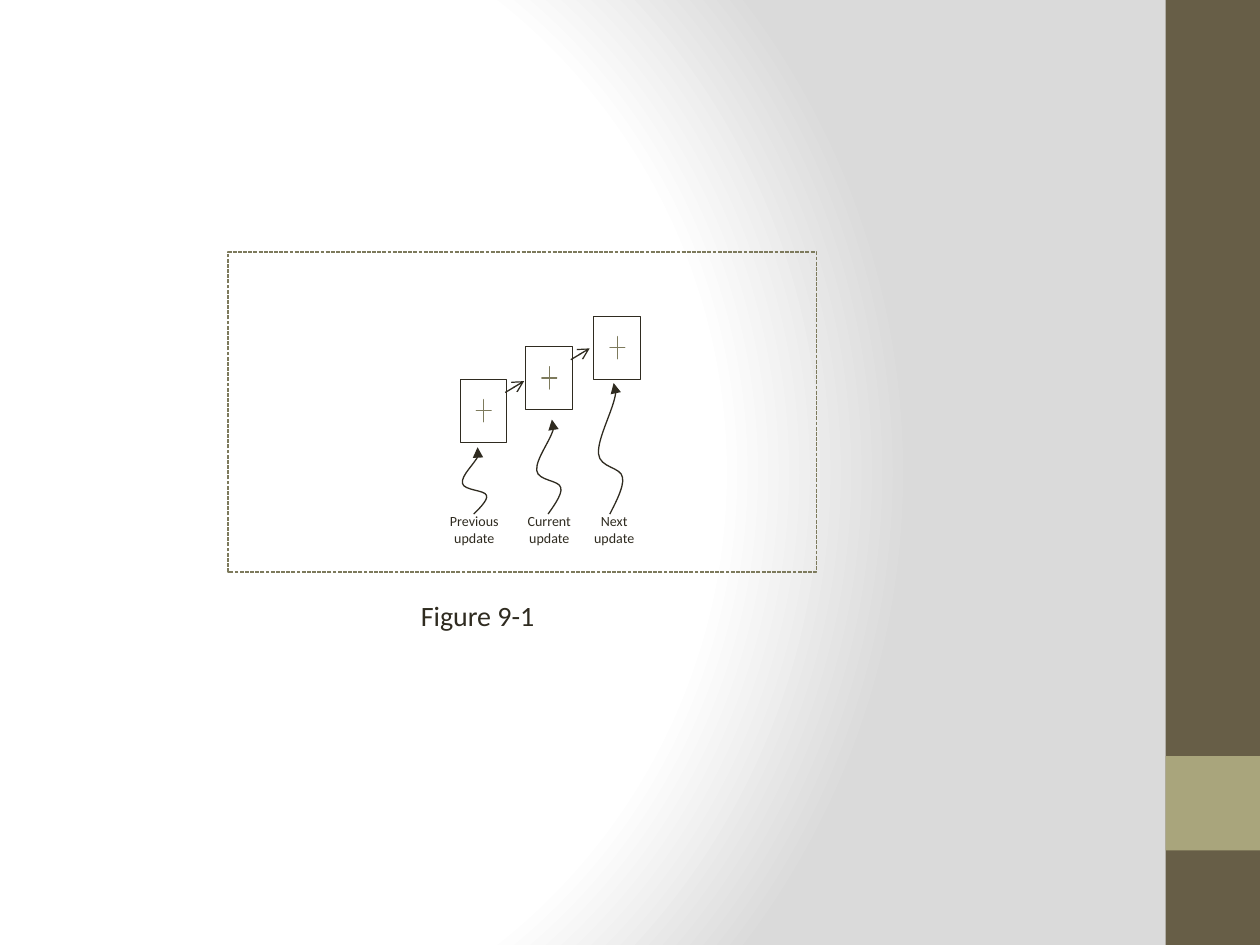
from dataclasses import dataclass

from lxml.etree import SubElement
from pptx import Presentation
from pptx.dml.color import RGBColor as Color
from pptx.enum.dml import MSO_LINE as Dash
from pptx.enum.shapes import MSO_CONNECTOR as Link, MSO_SHAPE as Shape
from pptx.enum.text import PP_ALIGN as Align
from pptx.oxml import parse_xml
from pptx.oxml.ns import nsdecls, qn
from pptx.util import Inches, Pt

COLUMNS, ROWS = 100, 75


@dataclass(frozen=True)
class Theme:
    ink: str = "2F2B20"
    bar: str = "675E47"
    accent: str = "A9A57C"
    edge: str = "7D7A5C"
    light: str = "FFFFFF"
    shade: str = "DADADA"
    font: str = "Calibri"
    label: int = 8
    caption: int = 16
    hairline: float = 0.25
    stroke: float = 0.75


@dataclass(frozen=True)
class Box:
    left: float
    top: float
    width: float
    height: float

    def inner(self, left, top, width, height):
        return Box(self.left + left, self.top + top, width, height)

    def point(self, column, row):
        return grid(self.left + column), grid(self.top + row)

    def place(self):
        return [grid(side) for side in (self.left, self.top, self.width, self.height)]


@dataclass(frozen=True)
class Step:
    word: str
    tile: tuple
    wave: tuple
    label: tuple


THEME = Theme()
STEPS = [
    Step("Previous", (18.4, 10.1), (18.6, 15.5), (17.5, 4.1)),
    Step("Current", (23.6, 7.5), (24.5, 13.3), (23.7, 3.6)),
    Step("Next", (29, 5.1), (29.4, 10.4), (28.9, 3.5)),
]
WAVE_START = (1.2, 0)
WAVE_CURVES = [
    [(2, 0.06), (-0.1, 0.42), (0, 0.54)],
    [(0.1, 0.65), (1.8, 0.64), (1.9, 0.72)],
    [(2.1, 0.79), (1.1, 0.96), (0.9, 1)],
]
WAVE_FOOT = 20.8


def grid(count):
    return Inches(count * 10 / COLUMNS)


def set_line(line, color, width):
    line.color.rgb = Color.from_string(color)
    line.width = Pt(width)


def add_block(shapes, kind, box, fill=None, line=None, width=0):
    block = shapes.add_shape(kind, *box.place())
    block.shadow.inherit = False
    if fill:
        block.fill.solid()
        block.fill.fore_color.rgb = Color.from_string(fill)
    else:
        block.fill.background()
    if line:
        set_line(block.line, line, width)
    else:
        block.line.fill.background()
    return block


def add_text(page, box, lines, size, align):
    frame = page.shapes.add_textbox(*box.place()).text_frame
    frame.word_wrap = True
    frame.margin_left = frame.margin_right = 0
    frame.text = "\n".join(lines)
    for para in frame.paragraphs:
        para.alignment = align
        para.font.name = THEME.font
        para.font.size = Pt(size)
        para.font.color.rgb = Color.from_string(THEME.ink)


def add_tile(page, box):
    group = page.shapes.add_group_shape()
    add_block(group.shapes, Shape.RECTANGLE, box, line=THEME.ink, width=THEME.hairline)
    plus = add_block(group.shapes, Shape.MATH_PLUS, box.inner(1.1, 1.3, 1.6, 2.4),
                     THEME.accent, THEME.edge)
    plus.adjustments[0] = 0


def add_arrow(page, start, end):
    arrow = page.shapes.add_connector(Link.STRAIGHT, *start, *end)
    set_line(arrow.line, THEME.ink, THEME.stroke)
    SubElement(arrow.line._get_or_add_ln(), qn("a:tailEnd"), type="arrow")
    SubElement(arrow.element.spPr, qn("a:effectLst"))


def add_wave(page, box):
    def local(point):
        return grid(point[0]), grid(point[1] * box.height)

    builder = page.shapes.build_freeform(*local(WAVE_START))
    builder.add_line_segments([local(curve[-1]) for curve in WAVE_CURVES], close=False)
    wave = builder.convert_to_shape(*box.point(0, 0))
    for segment, curve in zip(list(wave.element.iter(qn("a:lnTo"))), WAVE_CURVES):
        bend = SubElement(segment.getparent(), qn("a:cubicBezTo"))
        for x, y in map(local, curve):
            SubElement(bend, qn("a:pt"), x=str(x), y=str(y))
        segment.getparent().replace(segment, bend)
    wave.shadow.inherit = False
    wave.fill.background()
    set_line(wave.line, THEME.ink, THEME.stroke)
    SubElement(wave.line._get_or_add_ln(), qn("a:headEnd"), type="triangle")


def add_background(page):
    page.background.fill.gradient()
    stops = "".join(
        f'<a:gs pos="{share * 1000}"><a:srgbClr val="{color}"/></a:gs>'
        for share, color in [(0, THEME.light), (75, THEME.light), (100, THEME.shade)])
    radial = parse_xml(
        f'<a:gradFill {nsdecls("a")} rotWithShape="1"><a:gsLst>{stops}</a:gsLst>'
        '<a:path path="circle"><a:fillToRect l="20000" t="50000" r="100000" b="50000"/>'
        '</a:path></a:gradFill>')
    linear = next(page.element.iter(qn("a:gradFill")))
    linear.getparent().replace(linear, radial)


def add_sidebar(page, box):
    add_block(page.shapes, Shape.RECTANGLE, box, THEME.bar)
    square = box.inner(0, box.height * 0.8, box.width, box.width)
    add_block(page.shapes, Shape.RECTANGLE, square, THEME.accent)


def add_diagram(page, box):
    frame = add_block(page.shapes, Shape.RECTANGLE, box, line=THEME.edge, width=THEME.stroke)
    frame.line.dash_style = Dash.SQUARE_DOT
    for step in STEPS:
        tile = box.inner(*step.tile, 3.7, 5)
        add_tile(page, tile)
        if step is not STEPS[-1]:
            add_arrow(page, tile.point(3.6, 1.05), tile.point(5.1, 0.15))
        add_wave(page, box.inner(*step.wave, 2, WAVE_FOOT - step.wave[1]))
        left, width = step.label
        add_text(page, box.inner(left, 20.2, width, 3.7), [step.word, "update"],
                 THEME.label, Align.CENTER)


def add_caption(page, box):
    add_text(page, box, ["Figure 9-1"], THEME.caption, Align.LEFT)


def main():
    deck = Presentation()
    deck.slide_width, deck.slide_height = grid(COLUMNS), grid(ROWS)
    page = deck.slides.add_slide(deck.slide_layouts[6])
    add_background(page)
    add_sidebar(page, Box(92.5, 0, 7.5, ROWS))
    add_diagram(page, Box(18.1, 20, 46.7, 25.4))
    add_caption(page, Box(33.4, 47, 23.2, 3.7))
    deck.save("out.pptx")


if __name__ == "__main__":
    main()
